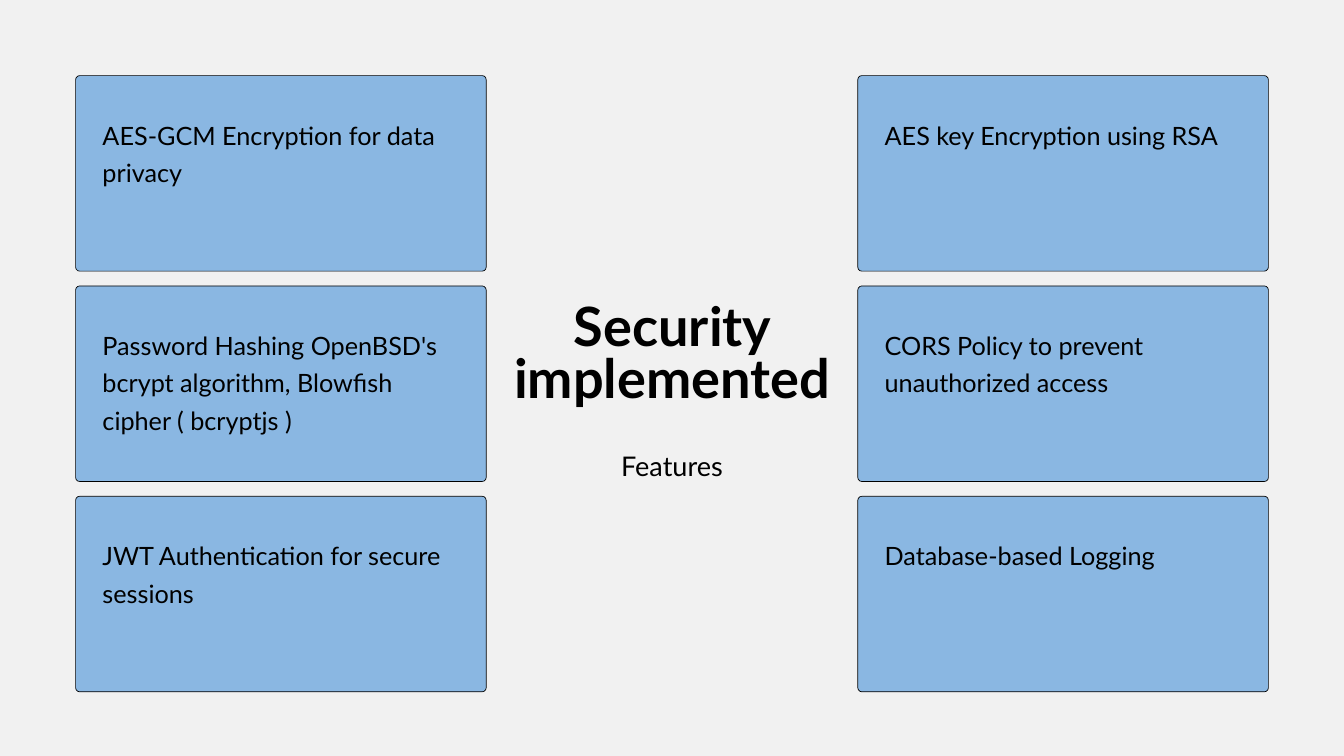
from pptx import Presentation
from pptx.dml.color import RGBColor
from pptx.enum.shapes import MSO_SHAPE as Shape
from pptx.enum.text import PP_ALIGN as Align
from pptx.util import Inches, Pt

TITLE = "Security implemented"
SUBTITLE = "Features"
FEATURES = [
    [("AES-GCM Encryption for data privacy", 2),
     ("AES key Encryption using RSA", 1)],
    [("Password Hashing OpenBSD's bcrypt algorithm, Blowfish cipher ( bcryptjs )", 3),
     ("CORS Policy to prevent unauthorized access", 2)],
    [("JWT Authentication for secure sessions", 2),
     ("Database-based Logging", 1)],
]

BACKGROUND = RGBColor(0xF1, 0xF1, 0xF1)
CARD_BLUE = RGBColor(0x8A, 0xB7, 0xE2)
BLACK = RGBColor(0, 0, 0)

SLIDE_W, SLIDE_H = 20, 11.25
MARGIN = 1.125
CARD_W, CARD_H = 6.11, 2.91
ROW_STEP = CARD_H + 0.22
COLUMN_STEP = SLIDE_W - 2 * MARGIN - CARD_W
CORNER = 0.06
PAD_X, PAD_Y = 0.4, 0.55
LINE_H, EXTRA_H = 0.56, 0.63


def add_text(slide, text, left, top, width, height, *, size, leading,
             align=Align.LEFT, bold=False):
    box = slide.shapes.add_textbox(*map(Inches, (left, top, width, height)))
    frame = box.text_frame
    frame.word_wrap = True
    frame.margin_left = frame.margin_right = 0
    frame.margin_top = frame.margin_bottom = 0
    paragraph = frame.paragraphs[0]
    paragraph.alignment = align
    paragraph.line_spacing = Pt(leading)
    run = paragraph.add_run()
    run.text = text
    run.font.name = "Lato"
    run.font.size = Pt(size)
    run.font.bold = bold
    run.font.color.rgb = BLACK


def add_card(slide, left, top):
    card = slide.shapes.add_shape(
        Shape.ROUNDED_RECTANGLE, *map(Inches, (left, top, CARD_W, CARD_H)))
    card.adjustments[0] = CORNER / CARD_H
    card.shadow.inherit = False
    card.fill.solid()
    card.fill.fore_color.rgb = CARD_BLUE
    card.line.color.rgb = BLACK
    card.line.width = Pt(0.75)


def main():
    deck = Presentation()
    deck.slide_width, deck.slide_height = Inches(SLIDE_W), Inches(SLIDE_H)
    slide = deck.slides.add_slide(deck.slide_layouts[6])
    slide.background.fill.solid()
    slide.background.fill.fore_color.rgb = BACKGROUND

    for row, features in enumerate(FEATURES):
        for column, (feature, lines) in enumerate(features):
            left = MARGIN + column * COLUMN_STEP
            top = MARGIN + row * ROW_STEP
            add_card(slide, left, top)
            add_text(slide, feature, left + PAD_X, top + PAD_Y,
                     CARD_W - 2 * PAD_X, EXTRA_H + lines * LINE_H,
                     size=27, leading=40.2)

    title_w, subtitle_w = 5.53, 3.9
    add_text(slide, TITLE, (SLIDE_W - title_w) / 2, 4.53, title_w, 1.61,
             size=58, leading=56.3, align=Align.CENTER, bold=True)
    add_text(slide, SUBTITLE, (SLIDE_W - subtitle_w) / 2, 6.73, subtitle_w, 0.44,
             size=29, leading=31.3, align=Align.CENTER)
    deck.save("out.pptx")


if __name__ == "__main__":
    main()
